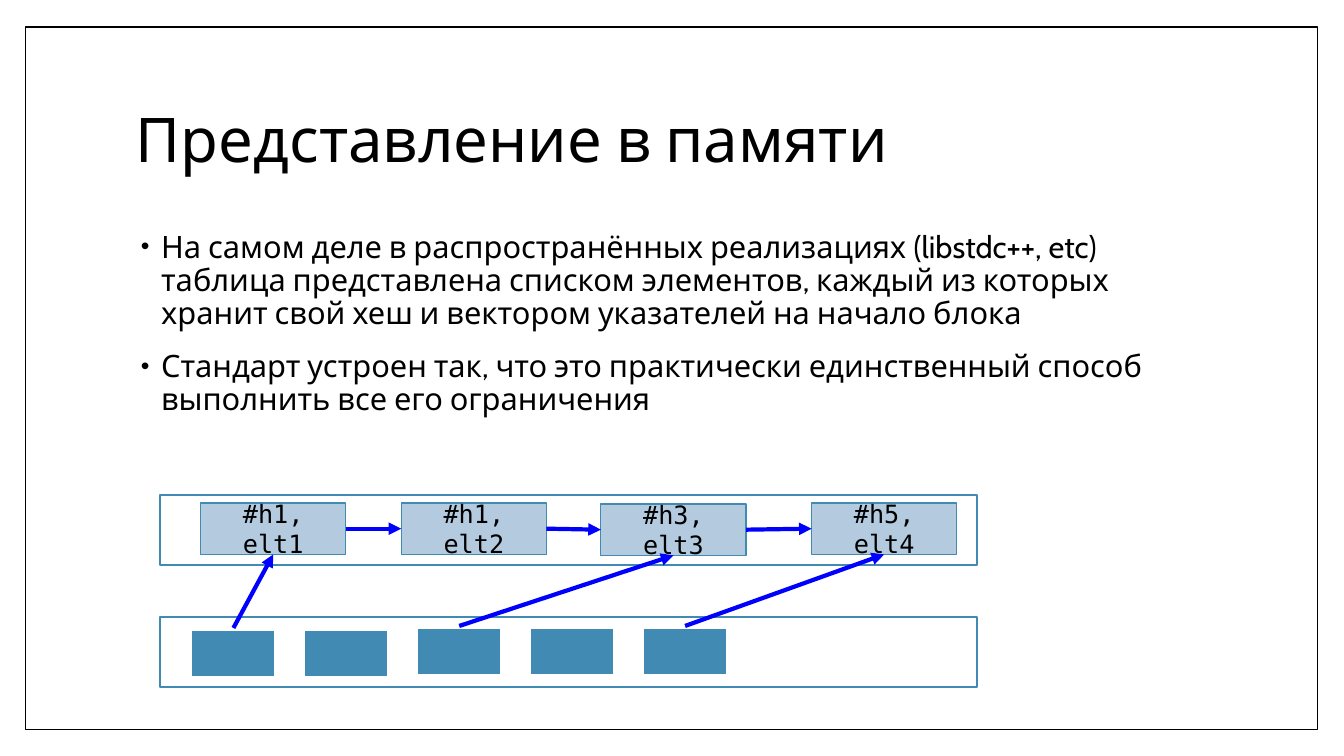
from lxml import etree
from pptx import Presentation
from pptx.dml.color import RGBColor
from pptx.enum.shapes import MSO_CONNECTOR, MSO_SHAPE
from pptx.enum.text import MSO_ANCHOR, PP_ALIGN
from pptx.oxml.ns import qn
from pptx.util import Inches, Pt

COLORS = {
    "white": "FFFFFF",
    "black": "000000",
    "bucket": "418AB3",
    "node": "B3CADF",
    "arrow": "0000FF",
}
TEXT_FONT = "Cabin"
CODE_FONT = "DejaVu Sans Mono"
TITLE = "Представление в памяти"
POINTS = [
    "На самом деле в распространённых реализациях (libstdc++, etc) таблица "
    "представлена списком элементов, каждый из которых хранит свой хеш "
    "и вектором указателей на начало блока",
    "Стандарт устроен так, что это практически единственный способ "
    "выполнить все его ограничения",
]
NODES = [  # label, left, top
    ("#h1, elt1", 1.99, 4.99),
    ("#h1, elt2", 3.98, 4.99),
    ("#h3, elt3", 5.96, 5.0),
    ("#h5, elt4", 8.05, 4.99),
]
BUCKET_TOPS = [6.23, 6.23, 6.21, 6.21, 6.21]
BUCKET_LEFT, BUCKET_STEP = 1.88, 1.12
HEADS = {0: 0, 2: 2, 4: 3}  # bucket -> first node of its block
TOP, LEFT, BOTTOM, RIGHT = range(4)


def color(name):
    return RGBColor.from_string(COLORS[name])


def add_box(slide, left, top, width, height, fill, line, weight):
    box = slide.shapes.add_shape(
        MSO_SHAPE.RECTANGLE, Inches(left), Inches(top), Inches(width), Inches(height)
    )
    box.shadow.inherit = False
    box.fill.solid()
    box.fill.fore_color.rgb = color(fill)
    box.line.color.rgb = color(line)
    box.line.width = Pt(weight)
    return box


def format_runs(paragraph, font, size):
    for run in paragraph.runs:
        run.font.name = font
        run.font.size = Pt(size)
        run.font.color.rgb = color("black")


def add_node(slide, label, left, top):
    node = add_box(slide, left, top, 1.44, 0.51, "node", "bucket", 0.79)
    node.text_frame.text = label
    node.text_frame.word_wrap = True
    node.text_frame.vertical_anchor = MSO_ANCHOR.MIDDLE
    paragraph = node.text_frame.paragraphs[0]
    paragraph.alignment = PP_ALIGN.CENTER
    format_runs(paragraph, CODE_FONT, 18)
    return node


def add_arrow(slide, source, source_side, target, target_side):
    arrow = slide.shapes.add_connector(MSO_CONNECTOR.STRAIGHT, 0, 0, 0, 0)
    arrow.begin_connect(source, source_side)
    arrow.end_connect(target, target_side)
    arrow.line.color.rgb = color("arrow")
    arrow.line.width = Pt(3)
    etree.SubElement(arrow.line._get_or_add_ln(), qn("a:tailEnd"), type="triangle")
    etree.SubElement(arrow._element.spPr, qn("a:effectLst"))


def add_text(slide, left, top, width, height, text):
    frame = slide.shapes.add_textbox(
        Inches(left), Inches(top), Inches(width), Inches(height)
    ).text_frame
    frame.word_wrap = True
    frame.text = text
    for paragraph in frame.paragraphs:
        paragraph.line_spacing = 0.9
    return frame


def add_bullet(paragraph):
    properties = paragraph._p.get_or_add_pPr()
    properties.set("marL", str(Inches(0.25)))
    properties.set("indent", str(Inches(-0.2)))
    bullet_color = etree.SubElement(properties, qn("a:buClr"))
    etree.SubElement(bullet_color, qn("a:srgbClr"), val=COLORS["black"])
    etree.SubElement(properties, qn("a:buSzPct"), val="80000")
    etree.SubElement(properties, qn("a:buFont"), typeface="Arial")
    etree.SubElement(properties, qn("a:buChar"), char="•")


def add_memory_diagram(slide):
    """Draw the list of elements above the vector of pointers into it."""
    for top in (4.91, 6.12):
        add_box(slide, 1.59, top, 8.1, 0.7, "white", "bucket", 1.5)
    buckets = [
        add_box(slide, BUCKET_LEFT + i * BUCKET_STEP, top, 0.87, 0.51,
                "bucket", "white", 4.25)
        for i, top in enumerate(BUCKET_TOPS)
    ]
    nodes = [add_node(slide, *node) for node in NODES]
    for node, following in zip(nodes, nodes[1:]):
        add_arrow(slide, node, RIGHT, following, LEFT)
    for bucket, head in HEADS.items():
        add_arrow(slide, buckets[bucket], TOP, nodes[head], BOTTOM)


def main():
    deck = Presentation()
    deck.slide_width, deck.slide_height = Inches(13.33), Inches(7.5)
    slide = deck.slides.add_slide(deck.slide_layouts[6])

    add_box(slide, 0.25, 0.27, 12.82, 6.97, "white", "black", 1)

    title = add_text(slide, 1.25, 0.67, 10.8, 1.48, TITLE)
    title.vertical_anchor = MSO_ANCHOR.MIDDLE
    format_runs(title.paragraphs[0], TEXT_FONT, 44)

    body = add_text(slide, 1.25, 2.25, 10.8, 2.23, "\n".join(POINTS))
    for i, paragraph in enumerate(body.paragraphs):
        if i:
            paragraph.space_before = Pt(14)
        add_bullet(paragraph)
        format_runs(paragraph, TEXT_FONT, 22)

    add_memory_diagram(slide)
    deck.save("out.pptx")


if __name__ == "__main__":
    main()
